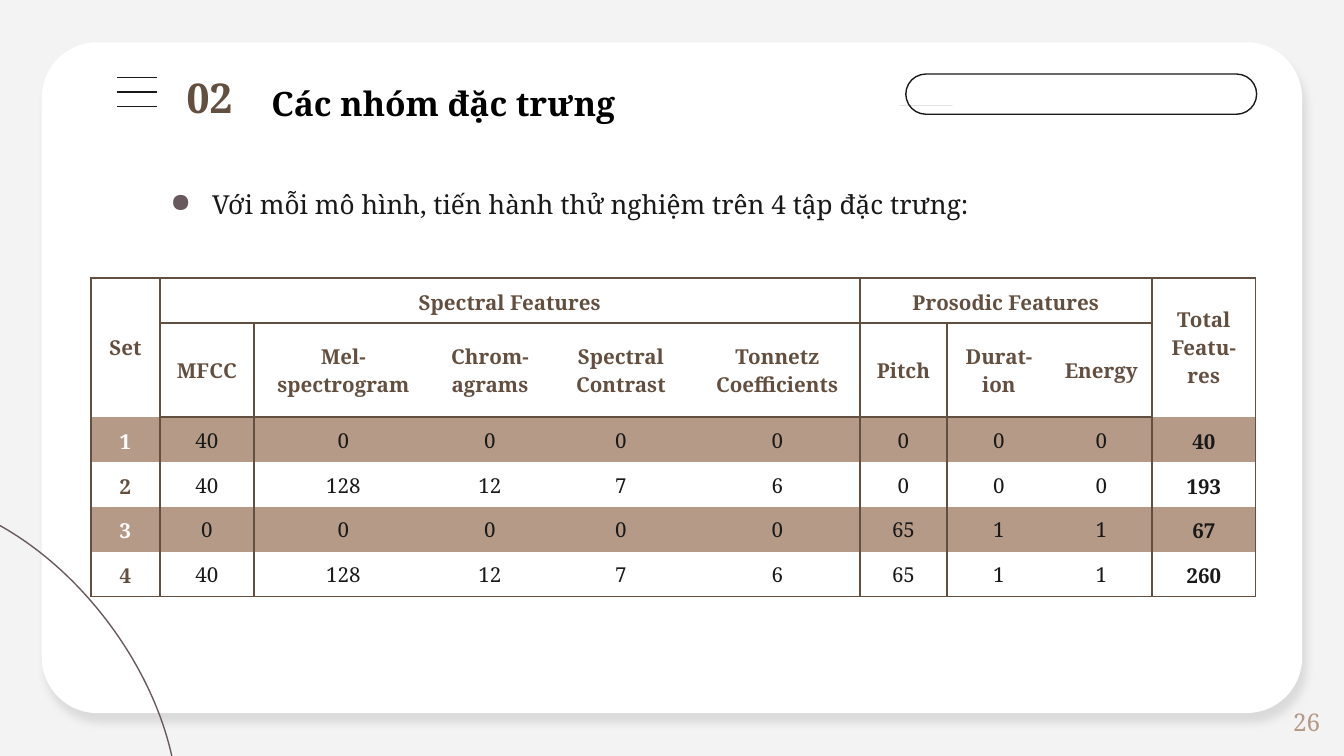
from math import cos, pi, radians, sin

from lxml import etree
from pptx import Presentation
from pptx.dml.color import RGBColor
from pptx.enum.shapes import MSO_CONNECTOR, MSO_SHAPE
from pptx.enum.text import MSO_ANCHOR, MSO_AUTO_SIZE, PP_ALIGN
from pptx.oxml.ns import qn
from pptx.util import Cm, Pt

LEFT, RIGHT = PP_ALIGN.LEFT, PP_ALIGN.RIGHT
MID, JUST = PP_ALIGN.CENTER, PP_ALIGN.JUSTIFY
TOP, CENTRE = MSO_ANCHOR.TOP, MSO_ANCHOR.MIDDLE
FIT = MSO_AUTO_SIZE.SHAPE_TO_FIT_TEXT
ROUND, OVAL = MSO_SHAPE.ROUNDED_RECTANGLE, MSO_SHAPE.OVAL
STRAIGHT = MSO_CONNECTOR.STRAIGHT

# Content
TITLE = "Các nhóm đặc trưng"
POINT = "Với mỗi mô hình, tiến hành thử nghiệm trên 4 tập đặc trưng:"
# Header cells: row, column, rows spanned, columns spanned, text
HEADS = [
    (0, 0, 2, 1, "Set"),
    (0, 1, 1, 5, "Spectral Features"),
    (0, 6, 1, 3, "Prosodic Features"),
    (0, 9, 2, 1, "Total Featu-res"),
]
NAMES = ["MFCC", "Mel-spectrogram", "Chrom-agrams", "Spectral Contrast",
         "Tonnetz Coefficients", "Pitch", "Durat-ion", "Energy"]
DATA = [
    (1, 40, 0, 0, 0, 0, 0, 0, 0, 40),
    (2, 40, 128, 12, 7, 6, 0, 0, 0, 193),
    (3, 0, 0, 0, 0, 0, 65, 1, 1, 67),
    (4, 40, 128, 12, 7, 6, 65, 1, 1, 260),
]

# Look
FONT = "Noto Serif"
HEX = {"back": "F3F3F3", "white": "FFFFFF", "black": "000000", "ink": "191919",
       "brown": "634F40", "tan": "B49A87", "mauve": "67595E"}
WIDTHS = [1.3, 1.78, 3.38, 2.16, 2.79, 3.12, 1.65, 1.96, 1.91, 1.96]
HEIGHTS = [0.79, 1.19] + [0.79] * len(DATA)
RULES = {0, 1, 6, 9, 10}  # column edges that carry a vertical rule
NO_GRID = "{2D5ABB26-0587-4C30-8999-92F81FD0307C}"
WIDE, THIN = (0.25, 0.19, 0.25, 0.19), (0.03, 0.03, 0.03, 0)


def rgb(name):
    return RGBColor.from_string(HEX[name])


def add(node, tag, **attrs):
    return etree.SubElement(node, qn(tag), {k: str(v) for k, v in attrs.items()})


def tint(node, name):
    return add(node, "a:srgbClr", val=HEX[name])


def write(frame, text, size=11, color="ink", bold=False, align=LEFT,
          space=None, bullet=None):
    para = frame.paragraphs[0]
    para.text = text
    para.alignment = align
    if bullet:
        props = para._p.get_or_add_pPr()
        props.set("marL", str(Cm(0.79)))
        props.set("indent", str(-Cm(0.79)))
        tint(add(props, "a:buClr"), bullet)
        add(props, "a:buChar", char="●")
    if space:
        para.line_spacing = space
    font = para.runs[0].font
    font.name, font.size, font.bold = FONT, Pt(size), bold
    font.color.rgb = rgb(color)


def label(place, text, pad=(0.25, 0.13), anchor=TOP, **look):
    frame = slide.shapes.add_textbox(*map(Cm, place)).text_frame
    frame.word_wrap = True
    frame.vertical_anchor = anchor
    frame.margin_left = frame.margin_right = Cm(pad[0])
    frame.margin_top = frame.margin_bottom = Cm(pad[1])
    write(frame, text, **look)
    return frame


def paint(part, fill=None, line=None):
    part.shadow.inherit = False
    if fill:
        part.fill.solid()
        part.fill.fore_color.rgb = rgb(fill)
    else:
        part.fill.background()
    if line:
        part.line.color.rgb = rgb(line)
        part.line.width = Pt(0.75)
    else:
        part.line.fill.background()


def shape(kind, place, adj=None, **look):
    part = slide.shapes.add_shape(kind, *map(Cm, place))
    if adj is not None:
        part.adjustments[0] = adj
    paint(part, **look)
    return part


def outline(*loops):
    """One filled shape from closed loops; inner loops are holes."""
    pen = slide.shapes.build_freeform(*loops[0][0], scale=Cm(1))
    for i, loop in enumerate(loops):
        if i:
            pen.move_to(*loop[0])
        pen.add_line_segments(loop[1:], close=True)
    paint(pen.convert_to_shape(), fill="ink")


def arc(x, y, r, start=0, turn=2 * pi, steps=32):
    return [(x + r * cos(start + turn * i / steps),
             y + r * sin(start + turn * i / steps)) for i in range(steps + 1)]


def style(cell, row, col, high=1, wide=1, fill=None, pad=WIDE):
    cell.vertical_anchor = CENTRE
    (cell.margin_left, cell.margin_top,
     cell.margin_right, cell.margin_bottom) = map(Cm, pad)
    sides = [("L", col in RULES), ("R", col + wide in RULES),
             ("T", row < 2), ("B", row + high in (1, len(HEIGHTS)))]
    props = cell._tc.get_or_add_tcPr()
    for side, drawn in sides:
        if drawn:
            edge = add(props, "a:ln" + side, w=Pt(1))
            tint(add(edge, "a:solidFill"), "brown")
    if fill:
        cell.fill.solid()
        cell.fill.fore_color.rgb = rgb(fill)
    else:
        cell.fill.background()


deck = Presentation()
deck.slide_width, deck.slide_height = Cm(25.4), Cm(14.29)
slide = deck.slides.add_slide(deck.slide_layouts[6])
slide.background.fill.solid()
slide.background.fill.fore_color.rgb = rgb("back")

# Card with soft shadow, and corner curve
card = shape(ROUND, (0.79, 0.8, 23.82, 12.68), 0.083, fill="white")
glow = add(card._element.spPr.find(qn("a:effectLst")), "a:outerShdw",
           blurRad=Pt(4.5), dist=Pt(6), dir=68 * 60000, algn="bl", rotWithShape=0)
add(tint(glow, "black"), "a:alpha", val=10000)
curve = shape(OVAL, (-4.98, 10.59, 9.35, 5.87), line="mauve")
curve.rotation = 53

# Menu bars
for i in range(3):
    y = Cm(1.47 + 0.27 * i)
    bar = slide.shapes.add_connector(STRAIGHT, Cm(2.21), y, Cm(2.97), y)
    bar.line.color.rgb = rgb("ink")
    bar.line.width = Pt(0.75)
    add(bar._element.spPr, "a:effectLst")

# Search box with magnifier
shape(ROUND, (17.12, 1.4, 6.63, 0.76), 0.5, line="ink")
hub = (17.68, 1.73)
outline(arc(*hub, 0.16), arc(*hub, 0.13),
        [(17.53, 1.83), (17.57, 1.87), (17.55, 1.89), (17.58, 1.91),
         (17.47, 2.0), (17.42, 1.99), (17.41, 1.95), (17.5, 1.83)],
        [(17.48, 1.88), (17.53, 1.92), (17.47, 1.98), (17.43, 1.96)])
outline(arc(*hub, 0.11), arc(*hub, 0.09))
top = radians(-145), radians(110)
outline(arc(*hub, 0.06, *top, 10) + arc(*hub, 0.04, *top, 10)[::-1])

# Point and page number
label((2.97, 3.2, 19.84, 1.27), POINT, pad=(0.25, 0.25), size=14, space=1.2,
      bullet="mauve")
label((19.48, 13.26, 5.72, 0.76), "26", anchor=CENTRE, size=13, color="tan",
      align=RIGHT)

# Table
grid = slide.shapes.add_table(len(HEIGHTS), len(WIDTHS), Cm(1.72), Cm(5.26),
                              Cm(sum(WIDTHS)), Cm(sum(HEIGHTS))).table
grid.first_row = grid.horz_banding = False
grid._tbl.tblPr.find(qn("a:tableStyleId")).text = NO_GRID
for col, size in zip(grid.columns, WIDTHS):
    col.width = Cm(size)
for row, size in zip(grid.rows, HEIGHTS):
    row.height = Cm(size)

subs = [(1, c, 1, 1, name) for c, name in enumerate(NAMES, 1)]
for r, c, high, wide, text in HEADS + subs:
    cell = grid.cell(r, c)
    if high * wide > 1:
        cell.merge(grid.cell(r + high - 1, c + wide - 1))
    style(cell, r, c, high, wide)
    write(cell.text_frame, text, color="brown", bold=True, align=MID)

last = len(WIDTHS) - 1
for r, values in enumerate(DATA, 2):
    band = r % 2 == 0
    for c, value in enumerate(values):
        cell, end = grid.cell(r, c), c in (0, last)
        style(cell, r, c, fill="tan" if band else None, pad=WIDE if end else THIN)
        color = "ink" if c else "white" if band else "brown"
        write(cell.text_frame, str(value), color=color, bold=end, align=MID)

# Heading
label((4.88, 1.17, 18.47, 1.27), TITLE, pad=(0.25, 0.25), size=18,
      color="black", bold=True, align=JUST, space=1.2)
mark = label((3.28, 1.24, 1.47, 1.19), "02", size=22, color="brown", bold=True)
mark.auto_size = FIT

deck.save("out.pptx")
